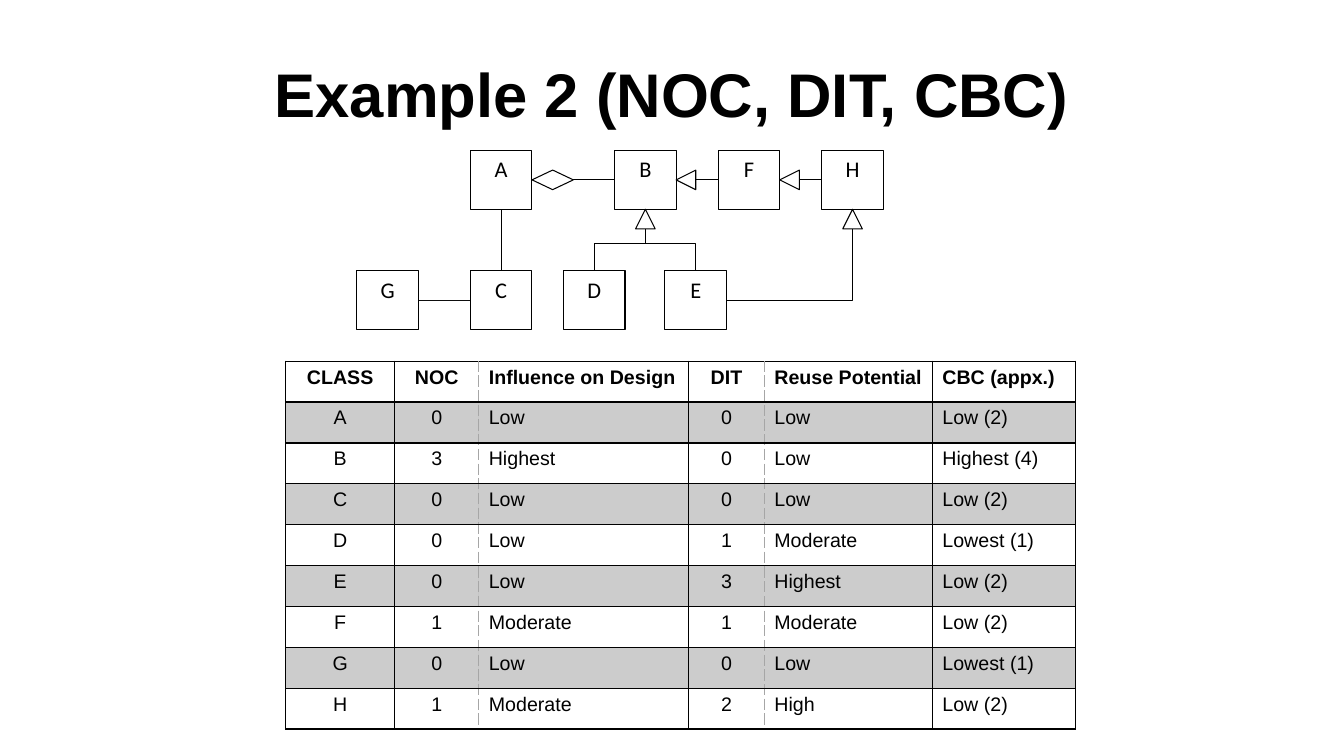
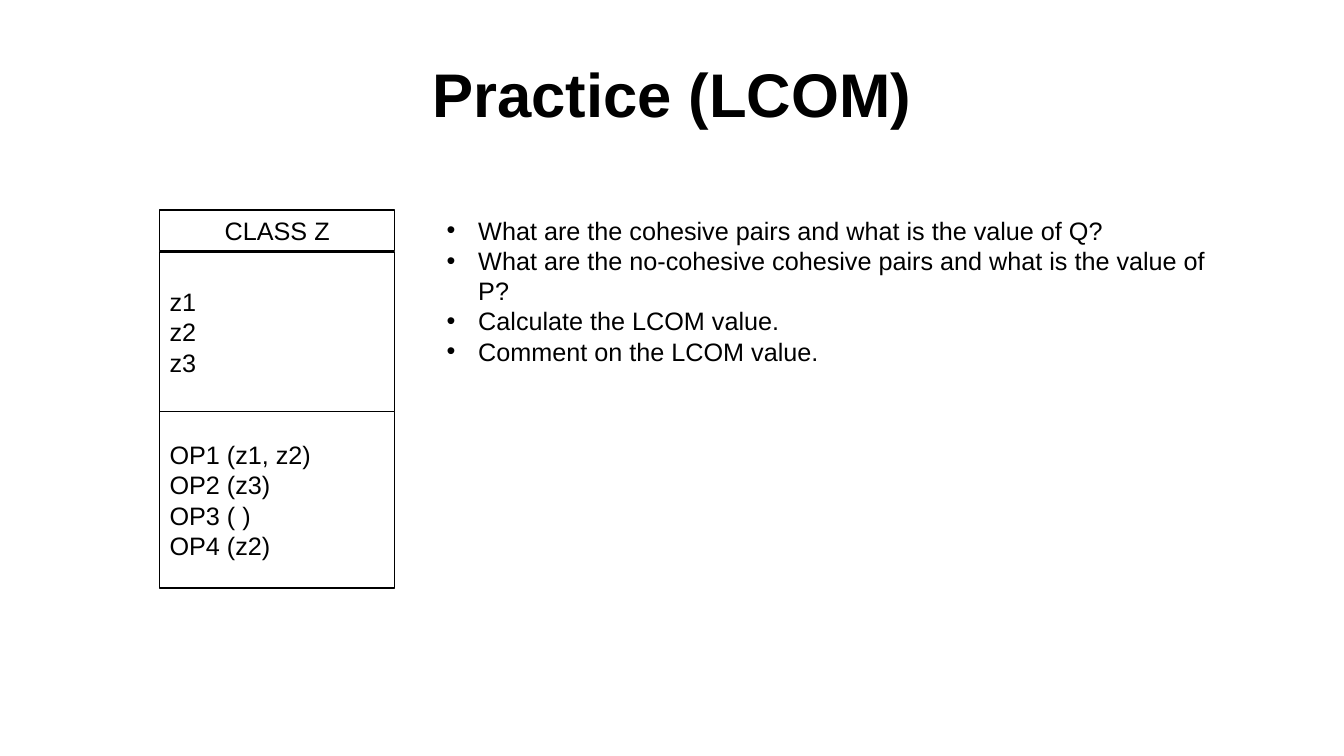
from lxml.etree import SubElement
from pptx import Presentation
from pptx.dml.color import RGBColor
from pptx.enum.dml import MSO_LINE
from pptx.enum.shapes import MSO_CONNECTOR, MSO_SHAPE
from pptx.enum.text import MSO_ANCHOR, MSO_AUTO_SIZE, PP_ALIGN
from pptx.oxml.ns import qn
from pptx.util import Pt

COLORS = {"ink": "000000", "link": "0D0D0D", "paper": "FFFFFF", "dash": "A6A6A6"}
BODY_FONT = "Arial"
LABEL_FONT = "Calibri"
BOX_WIDTH, BOX_HEIGHT = 44, 42
TOP_ROW, BOTTOM_ROW = 107.5, 193.5
ARROW = 14
CLASS_PLACES = {
    "A": (336, TOP_ROW), "B": (439, TOP_ROW), "F": (513, TOP_ROW), "H": (587, TOP_ROW),
    "G": (255, BOTTOM_ROW), "C": (336, BOTTOM_ROW), "D": (402.5, BOTTOM_ROW), "E": (475, BOTTOM_ROW),
}
COLUMN_WIDTHS = [78, 60, 150, 54, 120, 102]
CENTERED_COLUMNS = (0, 1, 3)
DASHED_AFTER = (1, 3)
ROW_HEIGHT = 29.2
METRICS = [
    ("CLASS", "NOC", "Influence on Design", "DIT", "Reuse Potential", "CBC (appx.)"),
    ("A", "0", "Low", "0", "Low", "Low (2)"),
    ("B", "3", "Highest", "0", "Low", "Highest (4)"),
    ("C", "0", "Low", "0", "Low", "Low (2)"),
    ("D", "0", "Low", "1", "Moderate", "Lowest (1)"),
    ("E", "0", "Low", "3", "Highest", "Low (2)"),
    ("F", "1", "Moderate", "1", "Moderate", "Low (2)"),
    ("G", "0", "Low", "0", "Low", "Lowest (1)"),
    ("H", "1", "Moderate", "2", "High", "Low (2)"),
]
CLASS_PARTS = [
    (150, 29, ["CLASS Z"]),
    (180, 114, ["z1", "z2", "z3"]),
    (294, 126, ["OP1 (z1, z2)", "OP2 (z3)", "OP3 ( )", "OP4 (z2)"]),
]
QUESTIONS = [
    "What are the cohesive pairs and what is the value of Q?",
    "What are the no-cohesive cohesive pairs and what is the value of P?",
    "Calculate the LCOM value.",
    "Comment on the LCOM value.",
]


def color(name):
    return RGBColor.from_string(COLORS[name])


def add_bullet(para):
    properties = para._p.get_or_add_pPr()
    properties.set("marL", str(Pt(22.5)))
    properties.set("indent", str(-Pt(22.5)))
    SubElement(properties, qn("a:buFont"), typeface=BODY_FONT)
    SubElement(properties, qn("a:buChar"), char="•")


def write(frame, lines, size, font=BODY_FONT, align=PP_ALIGN.LEFT, bold=False, after=0, bullets=False):
    frame.word_wrap = True
    for index, line in enumerate(lines):
        para = frame.add_paragraph() if index else frame.paragraphs[0]
        para.alignment = align
        para.space_after = Pt(after)
        if bullets:
            add_bullet(para)
        span = para.add_run()
        span.text = line
        span.font.name = font
        span.font.size = Pt(size)
        span.font.bold = bold
        span.font.color.rgb = color("ink")


def add_page(deck, title):
    page = deck.slides.add_slide(deck.slide_layouts[5])
    box = page.shapes.title
    box.left, box.top, box.width, box.height = Pt(48), Pt(21.6), Pt(864), Pt(90)
    box.text_frame.vertical_anchor = MSO_ANCHOR.MIDDLE
    write(box.text_frame, [title], 44, align=PP_ALIGN.CENTER, bold=True)
    return page


def add_outline(page, kind, left, top, width, height, line_width=0.75, filled=True):
    shape = page.shapes.add_shape(kind, Pt(left), Pt(top), Pt(width), Pt(height))
    shape.shadow.inherit = False
    if filled:
        shape.fill.solid()
        shape.fill.fore_color.rgb = color("paper")
    else:
        shape.fill.background()
    shape.line.color.rgb = color("ink")
    shape.line.width = Pt(line_width)
    return shape


def add_class(page, name):
    box = add_outline(page, MSO_SHAPE.RECTANGLE, *CLASS_PLACES[name], BOX_WIDTH, BOX_HEIGHT)
    box.text_frame.vertical_anchor = MSO_ANCHOR.TOP
    write(box.text_frame, [name], 16, LABEL_FONT, PP_ALIGN.CENTER, after=10)
    return box


def add_link(page, start=(0, 0), end=(0, 0), joins=(None, None), ink="ink", kind=MSO_CONNECTOR.STRAIGHT):
    link = page.shapes.add_connector(kind, *map(Pt, start + end))
    if joins[0]:
        link.begin_connect(*joins[0])
    if joins[1]:
        link.end_connect(*joins[1])
    link.line.color.rgb = color(ink)
    link.line.width = Pt(0.75)
    SubElement(link._element.spPr, qn("a:effectLst"))
    return link


def add_arrow(page, left, top, rotation=0):
    arrow = add_outline(page, MSO_SHAPE.FLOWCHART_EXTRACT, left, top, ARROW, ARROW)
    arrow.rotation = rotation


def add_fork(page, left, right, top, bottom):
    builder = page.shapes.build_freeform(Pt(left), Pt(bottom), scale=1.0)
    corners = [(left, top), (right, top), (right, bottom)]
    builder.add_line_segments([(Pt(x), Pt(y)) for x, y in corners], close=False)
    fork = builder.convert_to_shape()
    fork.shadow.inherit = False
    fork.fill.background()
    fork.line.color.rgb = color("ink")
    fork.line.width = Pt(0.75)


def add_diagram(page):
    boxes = {name: add_class(page, name) for name in CLASS_PLACES}
    middle = TOP_ROW + BOX_HEIGHT / 2
    under = TOP_ROW + BOX_HEIGHT
    centers = {name: left + BOX_WIDTH / 2 for name, (left, top) in CLASS_PLACES.items()}
    rights = {name: left + BOX_WIDTH for name, (left, top) in CLASS_PLACES.items()}

    add_link(page, joins=((boxes["A"], 3), (boxes["B"], 1)))
    add_outline(page, MSO_SHAPE.FLOWCHART_DECISION, rights["A"], middle - 7, 29.5, 14)
    add_link(page, joins=((boxes["A"], 2), (boxes["C"], 0)))
    add_link(page, joins=((boxes["C"], 1), (boxes["G"], 3)), ink="link")

    for parent, child in (("B", "F"), ("F", "H")):
        add_arrow(page, rights[parent], middle - ARROW / 2, 270)
        add_link(page, (rights[parent] + ARROW, middle), joins=(None, (boxes[child], 1)))

    for parent in "BH":
        add_arrow(page, centers[parent] - ARROW / 2, under)
    fork_top = 174
    add_link(page, (centers["B"], under + ARROW), (centers["B"], fork_top))
    add_fork(page, centers["D"], centers["E"], fork_top, BOTTOM_ROW)
    elbow = add_link(page, (rights["E"], BOTTOM_ROW + BOX_HEIGHT / 2),
                     (centers["H"], under + ARROW), kind=MSO_CONNECTOR.ELBOW)
    elbow._element.spPr.find(qn("a:prstGeom")).set("prst", "bentConnector2")


def add_border(cell, side, width, dashed):
    border = SubElement(cell._tc.get_or_add_tcPr(), qn("a:ln" + side), w=str(Pt(width)))
    fill = SubElement(border, qn("a:solidFill"))
    SubElement(fill, qn("a:srgbClr"), val=COLORS["dash" if dashed else "ink"])
    dash = MSO_LINE.LONG_DASH if dashed else MSO_LINE.SOLID
    SubElement(border, qn("a:prstDash"), val=MSO_LINE.to_xml(dash))


def style_cell(cell, row, column):
    add_border(cell, "L", 1, column - 1 in DASHED_AFTER)
    add_border(cell, "R", 1, column in DASHED_AFTER)
    add_border(cell, "T", 2 if row == 1 else 1, False)
    add_border(cell, "B", 2 if row == 0 else 1, False)
    if row % 2:
        cell.fill.solid()
        cell.fill.fore_color.rgb = color("ink")
        shade = cell._tc.tcPr.find(qn("a:solidFill")).find(qn("a:srgbClr"))
        SubElement(shade, qn("a:alpha"), val="20000")
    else:
        cell.fill.background()


def add_metrics(page):
    frame = page.shapes.add_table(len(METRICS), len(COLUMN_WIDTHS), Pt(204), Pt(258),
                                  Pt(sum(COLUMN_WIDTHS)), Pt(ROW_HEIGHT * len(METRICS)))
    table = frame.table
    table.first_row = table.horz_banding = False
    for column, width in zip(table.columns, COLUMN_WIDTHS):
        column.width = Pt(width)
    for row, values in enumerate(METRICS):
        table.rows[row].height = Pt(ROW_HEIGHT)
        for column, value in enumerate(values):
            cell = table.cell(row, column)
            align = PP_ALIGN.CENTER if column in CENTERED_COLUMNS else PP_ALIGN.LEFT
            write(cell.text_frame, [value], 14, align=align, bold=row == 0)
            style_cell(cell, row, column)


def add_class_card(page):
    for index, (top, height, lines) in enumerate(CLASS_PARTS):
        part = add_outline(page, MSO_SHAPE.RECTANGLE, 114, top, 168, height, 1, filled=index > 0)
        part.text_frame.vertical_anchor = MSO_ANCHOR.MIDDLE if index else MSO_ANCHOR.TOP
        write(part.text_frame, lines, 18, align=PP_ALIGN.LEFT if index else PP_ALIGN.CENTER)


def add_questions(page):
    box = page.shapes.add_textbox(Pt(312), Pt(150), Pt(564), Pt(117))
    box.text_frame.auto_size = MSO_AUTO_SIZE.SHAPE_TO_FIT_TEXT
    write(box.text_frame, QUESTIONS, 18, bullets=True)


def main():
    deck = Presentation()
    deck.slide_width, deck.slide_height = Pt(960), Pt(540)
    example = add_page(deck, "Example 2 (NOC, DIT, CBC)")
    add_diagram(example)
    add_metrics(example)
    practice = add_page(deck, "Practice (LCOM)")
    add_class_card(practice)
    add_questions(practice)
    deck.save("out.pptx")


if __name__ == "__main__":
    main()
